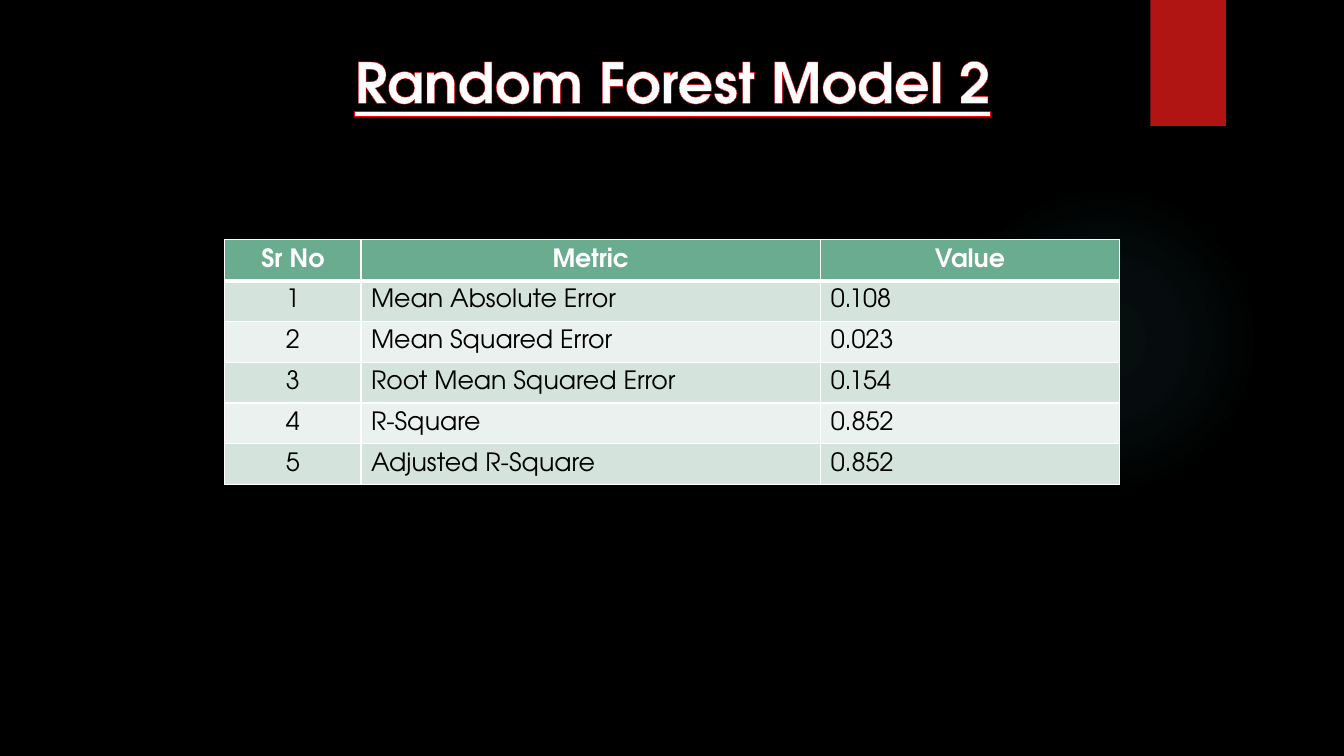
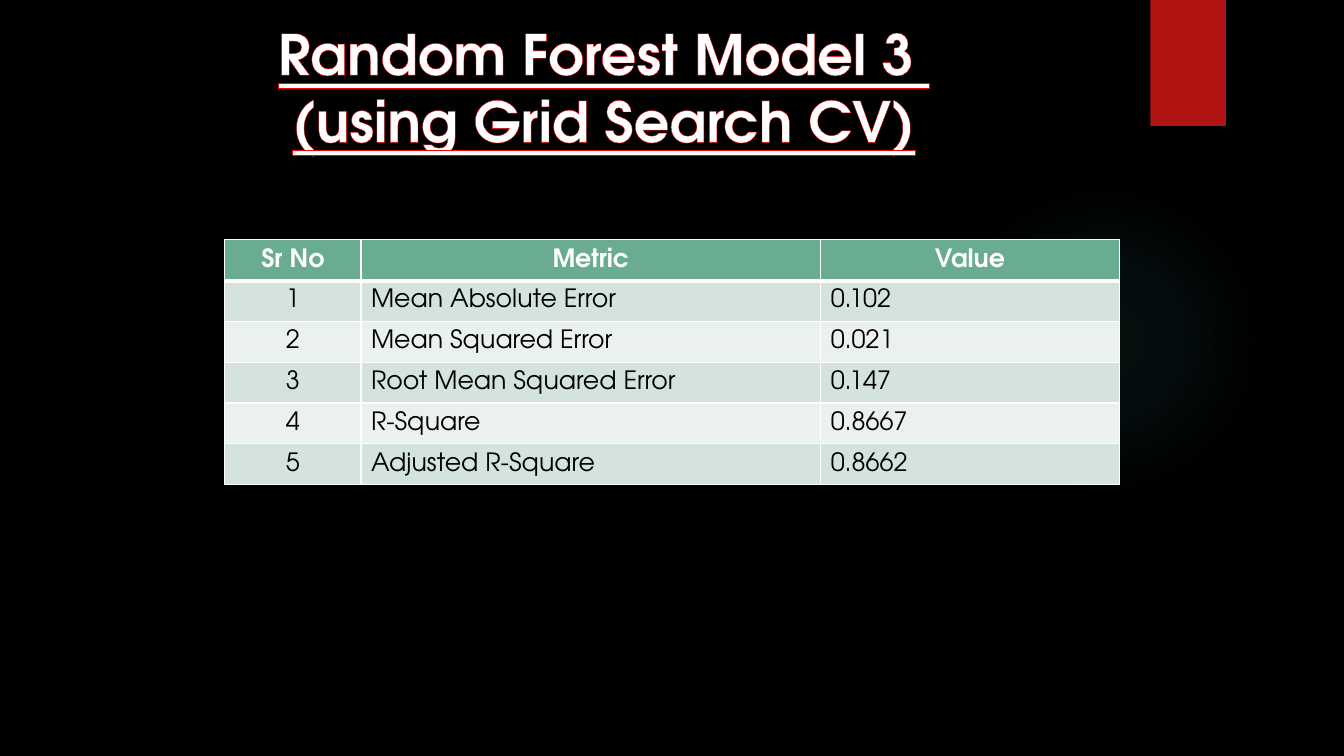
"""Build two slides that report the error metrics of random forest models."""
from pptx import Presentation
from pptx import util as u
from pptx.dml.color import RGBColor
from pptx.enum import shapes, text
from pptx.oxml import parse_xml

FONT = "TeX Gyre Adventor"
COLORS = {
    "background": "000000", "glow": "50B9C1", "ribbon": "B01513",
    "white": "FFFFFF", "black": "000000", "outline": "FF0000",
    "header": "6AAC90", "odd": "D4E3DB", "even": "EBF1EE",
}
HEADINGS = ("Sr No", "Metric", "Value")
METRICS = ("Mean Absolute Error", "Mean Squared Error", "Root Mean Squared Error",
           "R-Square", "Adjusted R-Square")
MODELS = [
    {"title": ["Random Forest Model 2"], "box": (0.86, 0.42, 11.62, 1.45),
     "values": ("0.108", "0.023", "0.154", "0.852", "0.852")},
    {"title": ["Random Forest Model 3 ", "(using Grid Search CV)"],
     "box": (0.86, 0.14, 10.25, 2.12),
     "values": ("0.102", "0.021", "0.147", "0.8667", "0.8662")},
]
TABLE_BOX = (2.23, 2.38, 8.88, 2.43)
COLUMN_WIDTHS = (1.35, 4.56, 2.96)
GLOW_STOPS = ((0, 7), (36, 6), (69, 0))
NS = 'xmlns:a="http://schemas.openxmlformats.org/drawingml/2006/main"'


def inches(box):
    return [u.Inches(length) for length in box]


def rgb(name):
    return RGBColor.from_string(COLORS[name])


def line_xml(tag, color, points):
    return parse_xml(
        f'<a:{tag} {NS} w="{u.Pt(points)}"><a:solidFill>'
        f'<a:srgbClr val="{COLORS[color]}"/></a:solidFill></a:{tag}>')


def add_text(paragraph, words, size, color, bold=False, centered=False):
    paragraph.alignment = text.PP_ALIGN.CENTER if centered else text.PP_ALIGN.LEFT
    run = paragraph.add_run()
    run.text = words
    run.font.name = FONT
    run.font.size = u.Pt(size)
    run.font.bold = bold
    run.font.color.rgb = rgb(color)
    return run


def decorate_master(master, slide):
    master.background.fill.solid()
    master.background.fill.fore_color.rgb = rgb("background")

    glow = slide.shapes.add_shape(shapes.MSO_SHAPE.OVAL, *inches((9.41, 1.83, 3.08, 3.08)))
    glow.shadow.inherit = False
    stops = "".join(
        f'<a:gs pos="{place * 1000}"><a:srgbClr val="{COLORS["glow"]}">'
        f'<a:alpha val="{alpha * 1000}"/></a:srgbClr></a:gs>'
        for place, alpha in GLOW_STOPS)
    glow.element.spPr.insert(2, parse_xml(
        f'<a:gradFill {NS}><a:gsLst>{stops}</a:gsLst><a:path path="circle">'
        '<a:fillToRect l="50000" t="50000" r="50000" b="50000"/></a:path></a:gradFill>'))

    ribbon = slide.shapes.add_shape(shapes.MSO_SHAPE.RECTANGLE, *inches((11.41, 0, 0.75, 1.25)))
    ribbon.fill.solid()
    ribbon.fill.fore_color.rgb = rgb("ribbon")
    ribbon.shadow.inherit = False
    effects = ribbon.element.spPr.find("{*}effectLst")
    effects.append(parse_xml(
        f'<a:outerShdw {NS} blurRad="{u.Pt(3)}" dist="{u.Pt(2)}" dir="5400000">'
        f'<a:srgbClr val="{COLORS["black"]}"><a:alpha val="45000"/></a:srgbClr></a:outerShdw>'))

    for index, part in enumerate((glow, ribbon), start=2):
        part.line.fill.background()
        master.shapes.element.insert(index, part.element)


def add_title(slide, lines, box):
    title = slide.shapes.title
    title.left, title.top, title.width, title.height = inches(box)
    frame = title.text_frame
    frame.word_wrap = True
    frame.auto_size = text.MSO_AUTO_SIZE.NONE
    frame.vertical_anchor = text.MSO_ANCHOR.TOP
    for index, words in enumerate(lines):
        paragraph = frame.add_paragraph() if index else frame.paragraphs[0]
        run = add_text(paragraph, words, 40, "white", bold=True, centered=True)
        run.font.underline = True
        run._r.get_or_add_rPr().insert(0, line_xml("ln", "outline", 0.75))


def add_metrics(slide, values):
    rows = [HEADINGS] + [(str(number), *pair)
                         for number, pair in enumerate(zip(METRICS, values), start=1)]
    metrics = slide.shapes.add_table(len(rows), len(HEADINGS), *inches(TABLE_BOX)).table
    for column, width in zip(metrics.columns, COLUMN_WIDTHS):
        column.width = u.Inches(width)
    for r, row in enumerate(rows):
        header = r == 0
        shade = "header" if header else "odd" if r % 2 else "even"
        borders = {"lnL": 1, "lnR": 1, "lnT": 3 if r == 1 else 1, "lnB": 3 if header else 1}
        for c, words in enumerate(row):
            cell = metrics.cell(r, c)
            cell.vertical_anchor = text.MSO_ANCHOR.MIDDLE
            cell.fill.solid()
            cell.fill.fore_color.rgb = rgb(shade)
            add_text(cell.text_frame.paragraphs[0], words, 18,
                     "white" if header else "black", header, header or c == 0)
            for index, (side, points) in enumerate(borders.items()):
                cell._tc.get_or_add_tcPr().insert(index, line_xml(side, "white", points))


def main():
    deck = Presentation()
    deck.slide_width, deck.slide_height = inches((13.33, 7.5))
    for index, model in enumerate(MODELS):
        slide = deck.slides.add_slide(deck.slide_layouts[5])
        if index == 0:
            decorate_master(deck.slide_master, slide)
        add_title(slide, model["title"], model["box"])
        add_metrics(slide, model["values"])
    deck.save("out.pptx")


if __name__ == "__main__":
    main()
